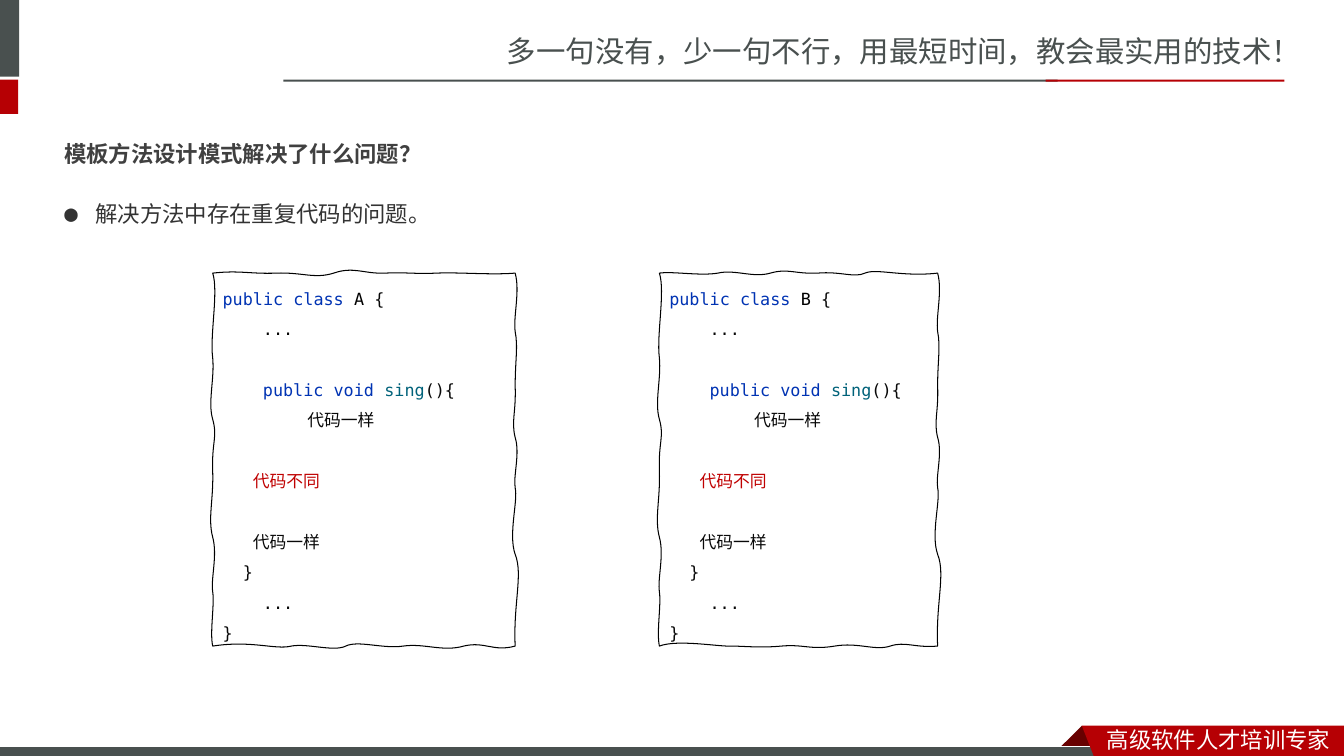
from dataclasses import dataclass

from lxml import etree
from pptx import Presentation
from pptx.dml.color import RGBColor
from pptx.enum.shapes import MSO_SHAPE
from pptx.enum.text import MSO_ANCHOR, MSO_AUTO_SIZE, PP_ALIGN
from pptx.oxml.ns import qn
from pptx.util import Inches, Pt

RECT = MSO_SHAPE.RECTANGLE
TOP = MSO_ANCHOR.TOP
LEFT = PP_ALIGN.LEFT
GROW = MSO_AUTO_SIZE.SHAPE_TO_FIT_TEXT

SC, JP, MONO = "Noto Sans CJK SC", "Noto Sans CJK JP", "DejaVu Sans Mono"
GRAY, RED, DARK_RED, WHITE, BLACK = "49504F", "B60004", "680000", "FFFFFF", "000000"
KEYWORD, METHOD, CODE, DIFFERENT = "0033B3", "00627A", "080808", "C00000"
LINE_PITCH = 21.7
PANEL_TOP = 2.71

Point = tuple[float, float]


@dataclass
class Bar:
    x: float
    y: float
    w: float
    h: float
    fill: str
    line: str | None = None


@dataclass
class Label:
    x: float
    y: float
    w: float
    h: float
    text: str
    size: float
    font: str
    color: str
    bold: bool = False
    spacing: float = 1.0
    bullet: str | None = None
    wrap: bool = True


@dataclass
class CodeLine:
    indent: float
    runs: list[tuple[str, str]]
    blank_lines_before: int = 0


@dataclass
class Panel:
    class_name: str
    left: float
    right: float
    top_curve: list[Point]
    bottom_curve: list[Point]


BARS = [
    Bar(-0.06, 0, 0.25, 0.76, GRAY),
    Bar(-0.06, 0.79, 0.24, 0.34, RED),
    Bar(2.81, 0.79, 7.68, 0.02, GRAY),
    Bar(10.37, 0.79, 2.37, 0.02, RED),
]
FOOTER_BAR = Bar(-0.01, 7.41, 11, 0.12, GRAY, WHITE)
RIBBON_FOLD = [(10.73, 7.2), (10.95, 7.42), (10.94, 7.43), (10.52, 7.43), (10.51, 7.42)]
RIBBON = [(10.73, 7.2), (13.33, 7.2), (13.33, 7.54), (10.86, 7.53)]

LABELS = [
    Label(4.93, 0.28, 8.41, 0.47, "多一句没有，少一句不行，用最短时间，教会最实用的技术！", 21, SC, GRAY),
    Label(10.88, 7.15, 2.45, 0.37, "高级软件人才培训专家", 16, SC, WHITE),
    Label(0.54, 1.67, 3.93, 0.57, "解决方法中存在重复代码的问题。", 16, JP, "333333",
          spacing=2, bullet="●"),
    Label(0.54, 1.21, 3.74, 0.47, "模板方法设计模式解决了什么问题？", 16, JP, "404040",
          bold=True, spacing=1.5, wrap=False),
]

RIGHT_WAVE = [
    (0.05, 2.89), (-0.02, 3.14), (0, 3.29), (0.03, 3.44), (0, 3.58), (0, 3.83),
    (0.01, 4.09), (-0.04, 4.18), (0, 4.34), (0.05, 4.5), (-0.02, 4.72), (0, 4.84),
    (0.03, 4.97), (-0.07, 5.3), (0, 5.5), (0.08, 5.7), (-0.02, 5.99), (0, 6.41),
]
LEFT_WAVE = [
    (-0.03, 6.27), (0.02, 6), (0, 5.87), (-0.02, 5.74), (0.05, 5.51), (0, 5.33),
    (-0.05, 5.14), (0.01, 4.96), (0, 4.67), (-0.01, 4.38), (0.05, 4.34), (0, 4.16),
    (-0.05, 3.99), (0.02, 3.76), (0, 3.55), (-0.03, 3.33), (0.06, 2.89), (0, 2.71),
]
PANELS = [
    Panel("A", 2.11, 5.11,
          [(2.38, 2.68), (2.48, 2.72), (2.74, 2.71), (3, 2.7), (3.12, 2.77), (3.31, 2.71),
           (3.51, 2.64), (3.61, 2.72), (3.82, 2.71), (4.03, 2.7), (4.11, 2.72), (4.33, 2.71),
           (4.56, 2.7), (4.87, 2.73), (5.11, 2.71)],
          [(4.89, 6.47), (4.81, 6.36), (4.6, 6.41), (4.39, 6.47), (4.21, 6.38), (4, 6.41),
           (3.8, 6.44), (3.55, 6.35), (3.43, 6.41), (3.31, 6.47), (3.05, 6.38), (2.89, 6.41),
           (2.73, 6.45), (2.5, 6.35), (2.11, 6.41)]),
    Panel("B", 6.54, 9.3,
          [(6.67, 2.69), (6.95, 2.74), (7.12, 2.71), (7.29, 2.67), (7.47, 2.76), (7.64, 2.71),
           (7.82, 2.66), (7.88, 2.72), (8.11, 2.71), (8.34, 2.69), (8.47, 2.76), (8.58, 2.71),
           (8.69, 2.66), (8.95, 2.75), (9.3, 2.71)],
          [(9.07, 6.43), (8.98, 6.36), (8.83, 6.41), (8.68, 6.46), (8.51, 6.37), (8.28, 6.41),
           (8.04, 6.45), (7.97, 6.39), (7.75, 6.41), (7.54, 6.43), (7.37, 6.41), (7.26, 6.41),
           (7.15, 6.42), (6.72, 6.34), (6.54, 6.41)]),
]


def rgb(color: str) -> RGBColor:
    return RGBColor.from_string(color)


def style(sp, fill: str | None, line: str | None = None) -> None:
    sp.shadow.inherit = False
    if fill:
        sp.fill.solid()
        sp.fill.fore_color.rgb = rgb(fill)
    else:
        sp.fill.background()
    if line:
        sp.line.color.rgb = rgb(line)
        sp.line.width = Pt(0.75)
    else:
        sp.line.fill.background()


def add_bar(s, bar: Bar) -> None:
    sp = s.shapes.add_shape(RECT, Inches(bar.x), Inches(bar.y), Inches(bar.w), Inches(bar.h))
    style(sp, bar.fill, bar.line)


def add_outline(s, points: list[Point], fill: str | None, line: str | None = None):
    start, *rest = [(Inches(x), Inches(y)) for x, y in points]
    builder = s.shapes.build_freeform(*start)
    builder.add_line_segments(rest, close=True)
    sp = builder.convert_to_shape()
    style(sp, fill, line)
    return sp


def bend_segments(sp, curve: list[Point]) -> None:
    for i, segment in enumerate(list(sp._element.iter(qn("a:lnTo")))):
        segment.tag = qn("a:cubicBezTo")
        for position, (x, y) in enumerate(curve[3 * i:3 * i + 2]):
            pt = etree.Element(qn("a:pt"), x=str(Inches(x) - sp.left), y=str(Inches(y) - sp.top))
            segment.insert(position, pt)


def add_run(p, text: str, size: float, font: str, east_font: str, color: str,
            bold: bool = False) -> None:
    r = p.add_run()
    r.text = text
    r.font.size = Pt(size)
    r.font.name = font
    r.font.bold = bold
    r.font.color.rgb = rgb(color)
    etree.SubElement(r.font._element, qn("a:ea"), typeface=east_font)


def set_indent(p, left: float, first: float = 0) -> None:
    pPr = p._p.get_or_add_pPr()
    pPr.set("marL", str(Inches(left)))
    pPr.set("indent", str(Inches(first)))


def add_label(s, label: Label) -> None:
    box = s.shapes.add_textbox(Inches(label.x), Inches(label.y), Inches(label.w), Inches(label.h))
    tf = box.text_frame
    tf.word_wrap = label.wrap
    tf.auto_size = GROW
    p = tf.paragraphs[0]
    p.line_spacing = float(label.spacing)
    if label.bullet:
        set_indent(p, 0.31, -0.31)
        pPr = p._p.get_or_add_pPr()
        etree.SubElement(pPr, qn("a:buFont"), typeface=MONO)
        etree.SubElement(pPr, qn("a:buChar"), char=label.bullet)
    add_run(p, label.text, label.size, label.font, label.font, label.color, label.bold)


def code_lines(class_name: str) -> list[CodeLine]:
    return [
        CodeLine(0, [("public class ", KEYWORD), (f"{class_name} ", BLACK), ("{", CODE)]),
        CodeLine(0.4, [("...", CODE)]),
        CodeLine(0.4, [("public void ", KEYWORD), ("sing", METHOD), ("(){", CODE)], 1),
        CodeLine(0.84, [("代码一样", CODE)]),
        CodeLine(0.3, [("代码不同", DIFFERENT)], 1),
        CodeLine(0.3, [("代码一样", CODE)], 1),
        CodeLine(0.2, [("}", CODE)]),
        CodeLine(0.4, [("...", CODE)]),
        CodeLine(0, [("}", CODE)]),
    ]


def add_panel(s, panel: Panel) -> None:
    curve = [*panel.top_curve,
             *((panel.right + dx, y) for dx, y in RIGHT_WAVE),
             *panel.bottom_curve,
             *((panel.left + dx, y) for dx, y in LEFT_WAVE)]
    sp = add_outline(s, [(panel.left, PANEL_TOP), *curve[2::3]], None, BLACK)
    bend_segments(sp, curve)
    tf = sp.text_frame
    tf.word_wrap = True
    tf.vertical_anchor = TOP
    tf.margin_left, tf.margin_top, tf.margin_bottom = Inches(0.1), Inches(0.05), 0
    for i, code in enumerate(code_lines(panel.class_name)):
        p = tf.add_paragraph() if i else tf.paragraphs[0]
        p.alignment = LEFT
        p.line_spacing = Pt(LINE_PITCH)
        p.space_before = Pt(LINE_PITCH * code.blank_lines_before)
        set_indent(p, code.indent)
        for text, color in code.runs:
            add_run(p, text, 12, MONO, SC, color)


def main() -> None:
    prs = Presentation()
    prs.slide_width, prs.slide_height = Inches(13.33), Inches(7.5)
    s = prs.slides.add_slide(prs.slide_layouts[6])
    for bar in BARS:
        add_bar(s, bar)
    add_outline(s, RIBBON_FOLD, DARK_RED)
    add_bar(s, FOOTER_BAR)
    add_outline(s, RIBBON, RED)
    for label in LABELS:
        add_label(s, label)
    for panel in PANELS:
        add_panel(s, panel)
    prs.save("out.pptx")


if __name__ == "__main__":
    main()
